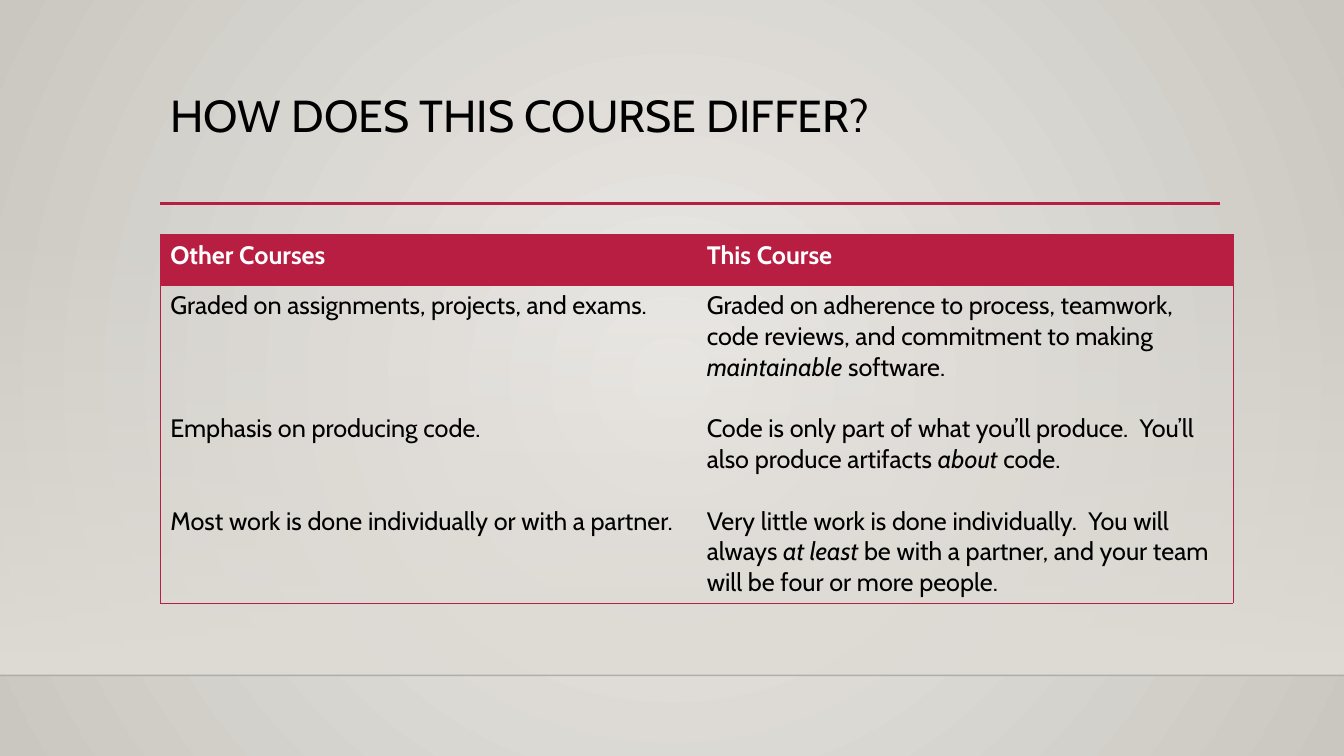
"""Build the course comparison slide."""
from pptx import Presentation, util as u
from pptx.dml.color import RGBColor
from pptx.enum import shapes, text
from pptx.oxml import parse_xml
from pptx.oxml.ns import nsdecls, qn

COLORS = {"accent": "B71E42", "text": "000000", "white": "FFFFFF", "center": "ECEAE7",
          "edge": "CAC7C1", "floor": "DFDBD5", "shade": "000001"}
FONT = "Cabin"
LINE = 22
NO_STYLE = "{2D5ABB26-0587-4C30-8999-92F81FD0307C}"
TITLE = "HOW DOES THIS COURSE DIFFER?"
HEADERS = ["Other Courses", "This Course"]
# placeholder
BODY = [
    [(0, ["Graded on assignments, projects, and exams."]),
     (3, ["Emphasis on producing code."]),
     (2, ["Most work is done individually or with a partner."])],
    [(0, ["Graded on adherence to process, teamwork, code reviews, and commitment to making ",
          "maintainable", " software."]),
     (1, ["Code is only part of what you’ll produce.  You’ll also produce artifacts ",
          "about", " code."]),
     (1, ["Very little work is done individually.  You will always ", "at least ",
          "be with a partner, and your team will be four or more people."])],
]
RULES = [((0, 6.7), (13.33, 6.7), "shade", 1, 20), ((1.59, 2.02), (12.1, 2.02), "accent", 2.5, 100)]
ROW_HEIGHTS = [0.5, 3.1]
COL_WIDTH = 5.32


def rgb(name):
    return RGBColor.from_string(COLORS[name])


def color_xml(name, alpha=100):
    return f'<a:srgbClr val="{COLORS[name]}"><a:alpha val="{alpha * 1000}"/></a:srgbClr>'


def set_gradient(owner, stops, direction):
    old = next(owner.iter(qn("a:gradFill")))
    stops_xml = "".join(f'<a:gs pos="{pos * 1000}">{color_xml(name, alpha)}</a:gs>'
                        for pos, name, alpha in stops)
    new = parse_xml(f'<a:gradFill {nsdecls("a")} rotWithShape="1"><a:gsLst>{stops_xml}</a:gsLst>'
                    f'{direction}</a:gradFill>')
    old.getparent().replace(old, new)


def add_text(p, content, size=18, color="text", bold=False, italic=False):
    r = p.add_run()
    r.text = content
    f = r.font
    f.name, f.size, f.bold, f.italic = FONT, u.Pt(size), bold, italic
    f.color.rgb = rgb(color)


def set_borders(cell, sides):
    tcPr = cell._tc.get_or_add_tcPr()
    for side in "LRTB":
        fill = f"<a:solidFill>{color_xml('accent')}</a:solidFill>" if side in sides else "<a:noFill/>"
        tcPr.append(parse_xml(f'<a:ln{side} {nsdecls("a")} w="{u.Pt(0.75)}">{fill}</a:ln{side}>'))


def add_backdrop(s):
    s.background.fill.gradient()
    set_gradient(s.element, [(0, "center", 100), (100, "edge", 100)],
                 '<a:path path="circle"><a:fillToRect l="50000" t="50000" r="50000" b="50000"/></a:path>')
    sp = s.shapes.add_shape(shapes.MSO_SHAPE.RECTANGLE, 0, u.Inches(2.21), u.Inches(13.33), u.Inches(4.49))
    sp.shadow.inherit = False
    sp.line.fill.background()
    sp.fill.gradient()
    set_gradient(sp.element, [(0, "floor", 0), (100, "floor", 100)], '<a:lin ang="5400000" scaled="0"/>')
    for start, end, color, width, alpha in RULES:
        rule = s.shapes.add_connector(shapes.MSO_CONNECTOR.STRAIGHT, *map(u.Inches, start + end))
        rule.line.width = u.Pt(width)
        rule.line.color.rgb = rgb(color)
        clr = next(rule.element.iter(qn("a:srgbClr")))
        clr.append(parse_xml(f'<a:alpha {nsdecls("a")} val="{alpha * 1000}"/>'))
        rule.element.spPr.append(parse_xml(f'<a:effectLst {nsdecls("a")}/>'))


def add_title(s):
    title = s.shapes.title
    title.left, title.top, title.width, title.height = map(u.Inches, (1.59, 0.88, 10.5, 1.15))
    tf = title.text_frame
    tf.word_wrap = True
    tf.vertical_anchor = text.MSO_ANCHOR.TOP
    p = tf.paragraphs[0]
    p.alignment = text.PP_ALIGN.LEFT
    p.line_spacing = 0.9
    add_text(p, TITLE, size=32)


def add_comparison(s):
    frame = s.shapes.add_table(2, 2, u.Inches(1.59), u.Inches(2.33),
                               u.Inches(2 * COL_WIDTH), u.Inches(sum(ROW_HEIGHTS)))
    table = frame.table
    next(frame.element.iter(qn("a:tableStyleId"))).text = NO_STYLE
    table.horz_banding = False
    for row, height in zip(table.rows, ROW_HEIGHTS):
        row.height = u.Inches(height)
    for col, side in enumerate("LR"):
        table.columns[col].width = u.Inches(COL_WIDTH)
        head, body = table.cell(0, col), table.cell(1, col)
        set_borders(head, "T" + side)
        head.fill.solid()
        head.fill.fore_color.rgb = rgb("accent")
        add_text(head.text_frame.paragraphs[0], HEADERS[col], color="white", bold=True)
        set_borders(body, "TB" + side)
        body.fill.background()
        tf = body.text_frame
        for i, (gap, parts) in enumerate(BODY[col]):
            p = tf.add_paragraph() if i else tf.paragraphs[0]
            p.space_before = u.Pt(gap * LINE)
            for k, part in enumerate(parts):
                add_text(p, part, italic=k == 1)


def main():
    prs = Presentation()
    prs.slide_width, prs.slide_height = u.Inches(13.33), u.Inches(7.5)
    s = prs.slides.add_slide(prs.slide_layouts[5])
    add_backdrop(s)
    add_title(s)
    add_comparison(s)
    prs.save("out.pptx")


if __name__ == "__main__":
    main()
